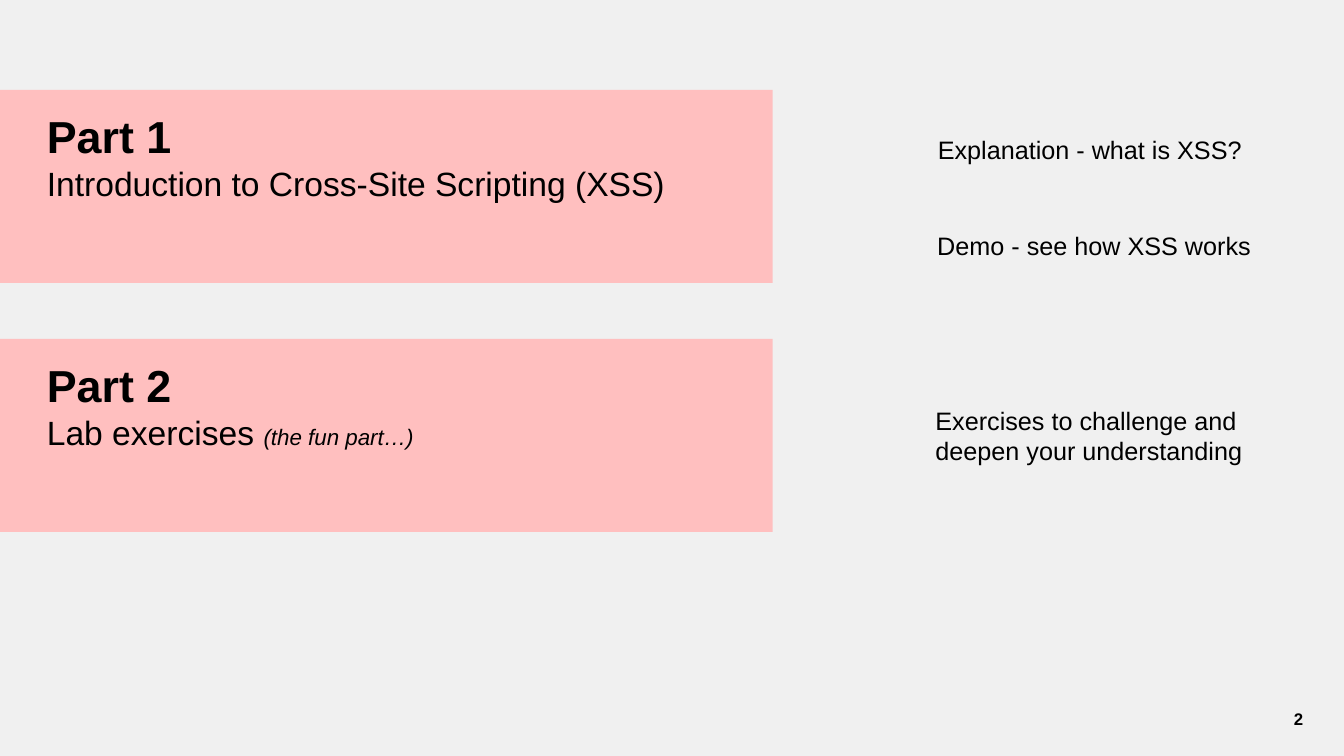
from dataclasses import dataclass

from pptx import Presentation
from pptx.dml.color import RGBColor
from pptx.enum.shapes import MSO_SHAPE
from pptx.enum.text import MSO_ANCHOR, PP_ALIGN
from pptx.util import Pt

RECTANGLE = MSO_SHAPE.RECTANGLE
MIDDLE = MSO_ANCHOR.MIDDLE
RIGHT = PP_ALIGN.RIGHT


@dataclass(frozen=True)
class Theme:
    font: str = "Arial"
    background: RGBColor = RGBColor(0xF0, 0xF0, 0xF0)
    band: RGBColor = RGBColor(0xFF, 0xBF, 0xBF)
    text: RGBColor = RGBColor(0, 0, 0)
    heading: Pt = Pt(32)
    subtitle: Pt = Pt(24)
    note: Pt = Pt(18)
    aside: Pt = Pt(16)
    number: Pt = Pt(12)


theme = Theme()
presentation = Presentation()
presentation.slide_width = Pt(960)
presentation.slide_height = Pt(540)
slide = presentation.slides.add_slide(presentation.slide_layouts[6])
slide.background.fill.solid()
slide.background.fill.fore_color.rgb = theme.background


def add_text_frame(left, top, width, height):
    box = slide.shapes.add_textbox(Pt(left), Pt(top), Pt(width), Pt(height))
    box.text_frame.word_wrap = True
    return box.text_frame


def style(font, size, bold=False, italic=False):
    font.name = theme.font
    font.color.rgb = theme.text
    font.size = size
    font.bold = bold
    font.italic = italic


parts = [
    ("Part 1", "Introduction to Cross-Site Scripting (XSS)", ""),
    ("Part 2", "Lab exercises ", "(the fun part…)"),
]
for index, (heading, subtitle, aside) in enumerate(parts):
    band_top = 64.2 + index * 177.8
    band = slide.shapes.add_shape(RECTANGLE, 0, Pt(band_top), Pt(552), Pt(138))
    band.shadow.inherit = False
    band.fill.solid()
    band.fill.fore_color.rgb = theme.band
    band.line.fill.background()

    frame = add_text_frame(26.4, band_top + 10, 464.4, 75)
    heading_paragraph = frame.paragraphs[0]
    heading_paragraph.text = heading
    style(heading_paragraph.font, theme.heading, bold=True)
    subtitle_paragraph = frame.add_paragraph()
    subtitle_paragraph.text = subtitle
    style(subtitle_paragraph.font, theme.subtitle)
    if aside:
        run = subtitle_paragraph.add_run()
        run.text = aside
        style(run.font, theme.aside, italic=True)

notes = [
    ("Explanation - what is XSS?", 662.8, 92.2, 247.7, 29),
    ("Demo - see how XSS works", 662.4, 161.3, 254.9, 29),
    ("Exercises to challenge and deepen your understanding", 661.1, 285.8, 261.4, 51),
]
for text, left, top, width, height in notes:
    paragraph = add_text_frame(left, top, width, height).paragraphs[0]
    paragraph.text = text
    style(paragraph.font, theme.note)

number_frame = add_text_frame(874, 502, 60.5, 22.3)
number_frame.vertical_anchor = MIDDLE
number_frame.margin_left = number_frame.margin_right = Pt(3.6)
number_paragraph = number_frame.paragraphs[0]
number_paragraph.text = "2"
number_paragraph.alignment = RIGHT
style(number_paragraph.font, theme.number, bold=True)

presentation.save("out.pptx")
